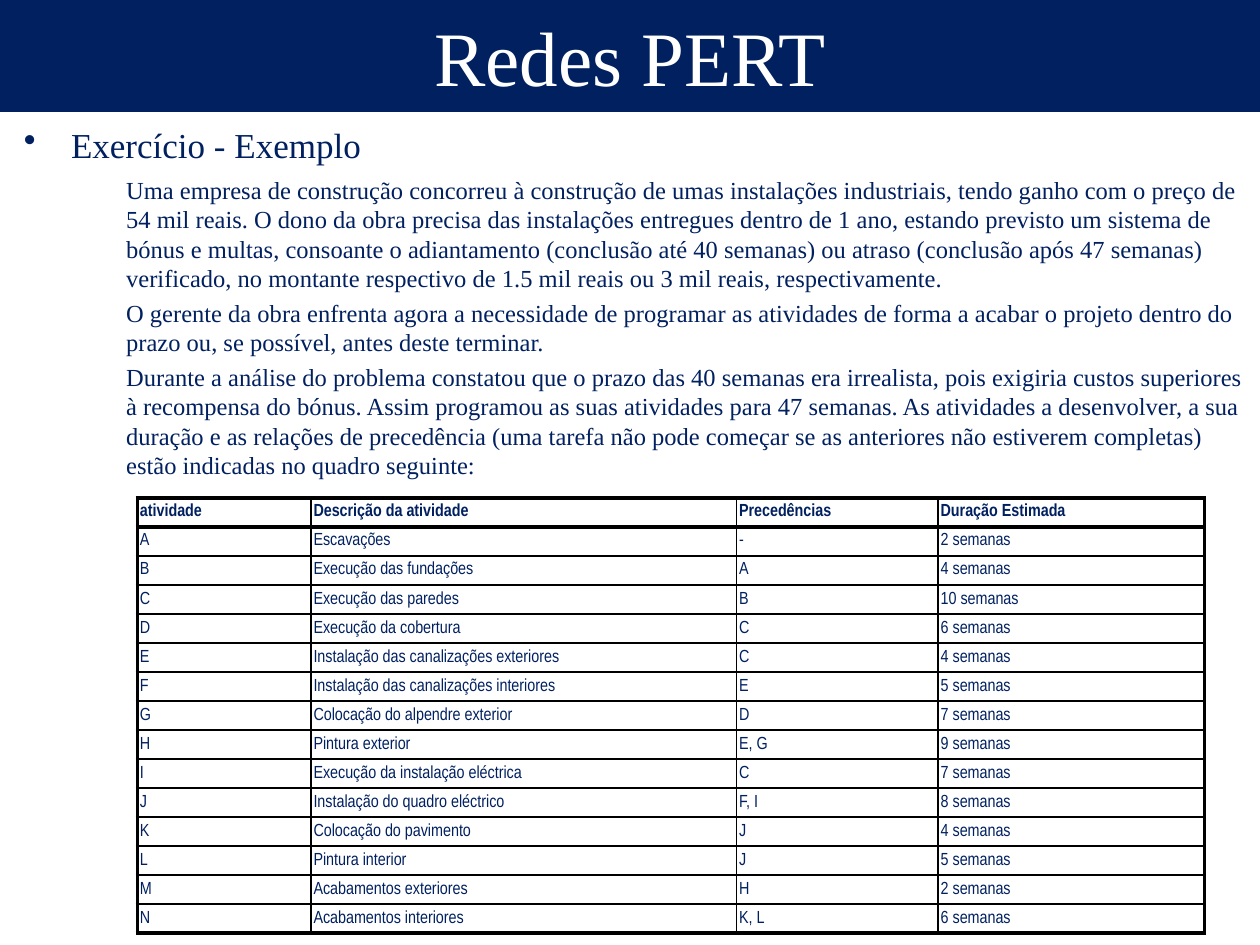
from dataclasses import dataclass

from lxml import etree
from pptx import Presentation
from pptx import util as u
from pptx.dml.color import RGBColor
from pptx.enum import shapes, text
from pptx.oxml.ns import qn


@dataclass(frozen=True)
class Theme:
    navy: str = "002060"
    white: str = "FFFFFF"
    black: str = "000000"
    serif: str = "Times New Roman"
    narrow: str = "Arial Narrow"
    title: float = 44
    heading: float = 20
    body: float = 14
    cell: float = 10
    thin: float = 1
    thick: float = 2.25


class Deck:
    def __init__(self, prs, theme):
        self.t = theme
        self.s = prs.slides.add_slide(prs.slide_layouts[6])

    def style(self, p, size, color, face, bold=False):
        f = p.font
        f.size, f.name, f.bold = u.Pt(size), face, bold
        f.color.rgb = RGBColor.from_string(color)

    def banner(self, words, x, y, w, h):
        sp = self.s.shapes.add_shape(shapes.MSO_SHAPE.RECTANGLE,
                                     u.Pt(x), u.Pt(y), u.Pt(w), u.Pt(h))
        sp.shadow.inherit = False
        sp.fill.solid()
        sp.fill.fore_color.rgb = RGBColor.from_string(self.t.navy)
        sp.line.fill.background()
        tf = sp.text_frame
        tf.vertical_anchor = text.MSO_ANCHOR.MIDDLE
        p = tf.paragraphs[0]
        p.text = words
        p.alignment = text.PP_ALIGN.CENTER
        self.style(p, self.t.title, self.t.white, self.t.serif)

    def indent(self, p, left, first, bullet=None):
        pr = p._p.get_or_add_pPr()
        pr.set("marL", str(u.Pt(left)))
        pr.set("indent", str(u.Pt(first)))
        if bullet:
            etree.SubElement(pr, qn("a:buChar")).set("char", bullet)

    def body(self, heading, paragraphs, x, y, w, h):
        tf = self.s.shapes.add_textbox(u.Pt(x), u.Pt(y), u.Pt(w), u.Pt(h)).text_frame
        tf.word_wrap = True
        p = tf.paragraphs[0]
        p.text = heading
        self.indent(p, 27, -27, "•")
        p.line_spacing = u.Pt(24)
        self.style(p, self.t.heading, self.t.navy, self.t.serif)
        for i, words in enumerate(paragraphs):
            p = tf.add_paragraph()
            p.text = words
            self.indent(p, 58.5, 0)
            p.line_spacing = u.Pt(16.75)
            p.space_before = u.Pt(3.2 if i else 5.4)
            self.style(p, self.t.body, self.t.navy, self.t.serif)

    def border(self, cell, side, width):
        ln = etree.SubElement(cell._tc.get_or_add_tcPr(), qn(f"a:ln{side}"))
        ln.set("w", str(u.Pt(width)))
        fill = etree.SubElement(ln, qn("a:solidFill"))
        etree.SubElement(fill, qn("a:srgbClr")).set("val", self.t.black)

    def table(self, rows, widths, row_height, x, y):
        n, m = len(rows), len(widths)
        tbl = self.s.shapes.add_table(n, m, u.Pt(x), u.Pt(y), u.Pt(sum(widths)),
                                      u.Pt(n * row_height)).table
        tbl.first_row = tbl.horz_banding = False
        for col, width in zip(tbl.columns, widths):
            col.width = u.Pt(width)
        for i, values in enumerate(rows):
            tbl.rows[i].height = u.Pt(row_height)
            for j, value in enumerate(values):
                cell = tbl.cell(i, j)
                cell.vertical_anchor = text.MSO_ANCHOR.MIDDLE
                cell.margin_left = cell.margin_right = u.Pt(1.5)
                cell.margin_top = cell.margin_bottom = u.Pt(1.5)
                p = cell.text_frame.paragraphs[0]
                p.text = value
                p.alignment = text.PP_ALIGN.JUSTIFY
                self.style(p, self.t.cell, self.t.navy, self.t.narrow, i == 0)
                heavy = {"L": j == 0, "R": j == m - 1,
                         "T": i <= 1, "B": i in (0, n - 1)}
                for side, is_heavy in heavy.items():
                    self.border(cell, side, self.t.thick if is_heavy else self.t.thin)
                cell.fill.background()


PARAGRAPHS = [
    "Uma empresa de construção concorreu à construção de umas instalações industriais, "
    "tendo ganho com o preço de 54 mil reais. O dono da obra precisa das instalações "
    "entregues dentro de 1 ano, estando previsto um sistema de bónus e multas, consoante "
    "o adiantamento (conclusão até 40 semanas) ou atraso (conclusão após 47 semanas) "
    "verificado, no montante respectivo de 1.5 mil reais ou 3 mil reais, respectivamente.",
    "O gerente da obra enfrenta agora a necessidade de programar as atividades de forma "
    "a acabar o projeto dentro do prazo ou, se possível, antes deste terminar.",
    "Durante a análise do problema constatou que o prazo das 40 semanas era irrealista, "
    "pois exigiria custos superiores à recompensa do bónus. Assim programou as suas "
    "atividades para 47 semanas. As atividades a desenvolver, a sua duração e as relações "
    "de precedência (uma tarefa não pode começar se as anteriores não estiverem completas) "
    "estão indicadas no quadro seguinte:",
]

HEADER = ("atividade", "Descrição da atividade", "Precedências", "Duração Estimada")
ACTIVITIES = [
    ("A", "Escavações", "-", 2),
    ("B", "Execução das fundações", "A", 4),
    ("C", "Execução das paredes", "B", 10),
    ("D", "Execução da cobertura", "C", 6),
    ("E", "Instalação das canalizações exteriores", "C", 4),
    ("F", "Instalação das canalizações interiores", "E", 5),
    ("G", "Colocação do alpendre exterior", "D", 7),
    ("H", "Pintura exterior", "E, G", 9),
    ("I", "Execução da instalação eléctrica", "C", 7),
    ("J", "Instalação do quadro eléctrico", "F, I", 8),
    ("K", "Colocação do pavimento", "J", 4),
    ("L", "Pintura interior", "J", 5),
    ("M", "Acabamentos exteriores", "H", 2),
    ("N", "Acabamentos interiores", "K, L", 6),
]


def main():
    prs = Presentation()
    prs.slide_width, prs.slide_height = u.Pt(720), u.Pt(540)
    deck = Deck(prs, Theme())
    deck.body("Exercício - Exemplo", PARAGRAPHS, 6.5, 67, 713.5, 211.5)
    rows = [HEADER] + [(*a, f"{weeks} semanas") for *a, weeks in ACTIVITIES]
    deck.table(rows, (99.2, 243.2, 115.2, 152.4), 16.6, 78.5, 284.5)
    deck.banner("Redes PERT", 0, 0, 720, 64)
    prs.save("out.pptx")


if __name__ == "__main__":
    main()
